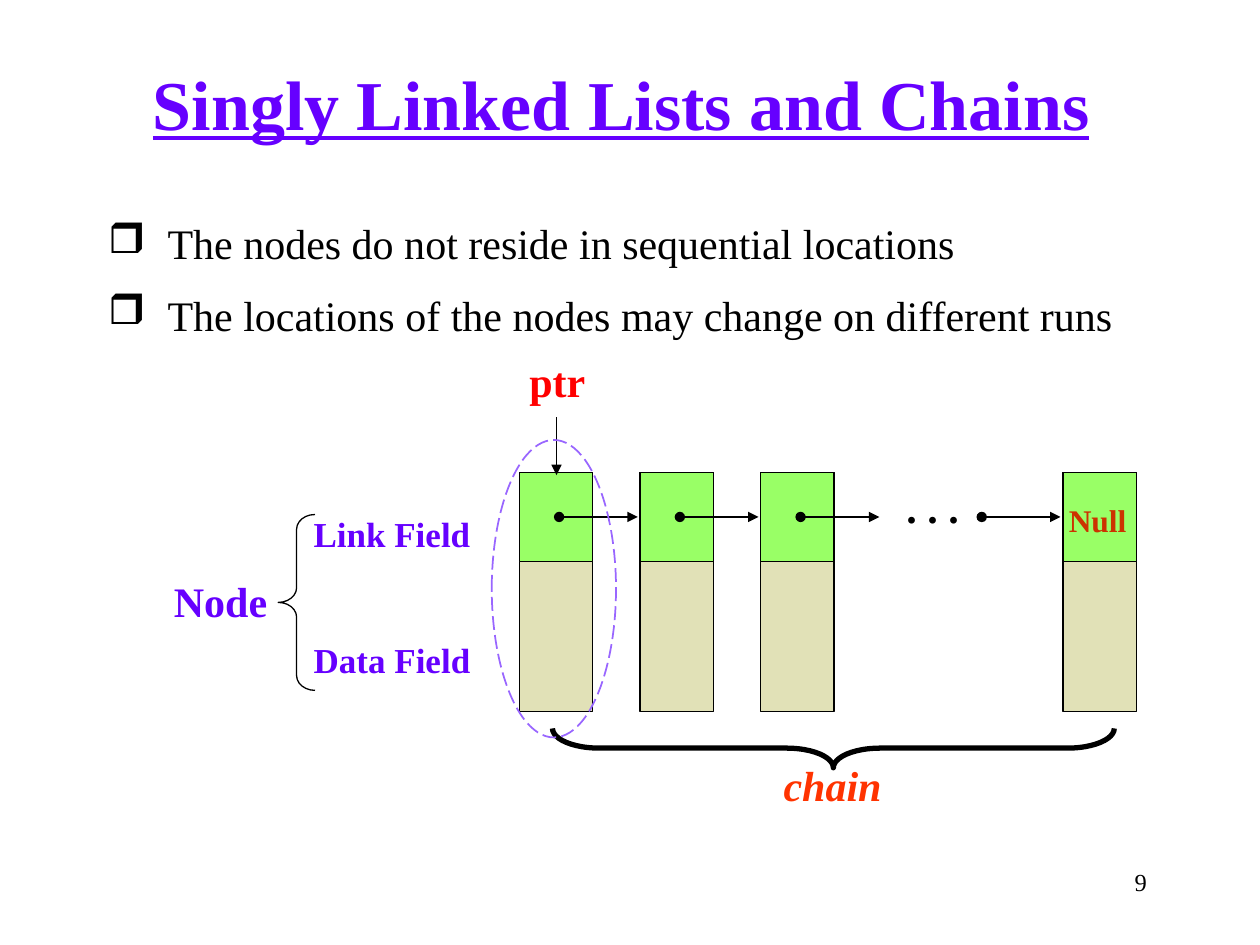
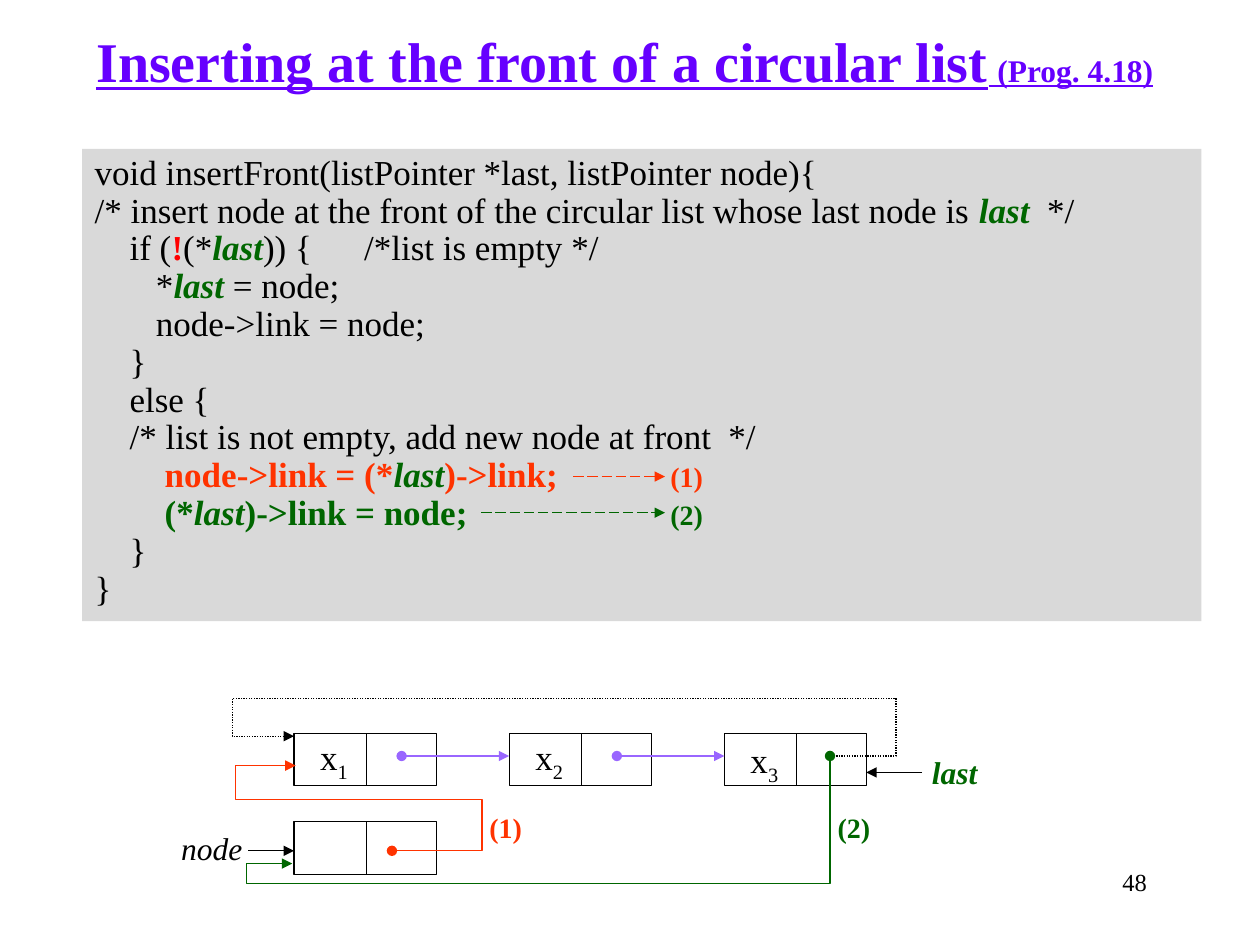
from dataclasses import dataclass
from typing import NamedTuple, Optional

from lxml.etree import SubElement
from pptx import Presentation
from pptx.dml.color import RGBColor
from pptx.enum.dml import MSO_LINE
from pptx.enum.shapes import MSO_CONNECTOR, MSO_SHAPE
from pptx.enum.text import MSO_ANCHOR, PP_ALIGN
from pptx.oxml.ns import qn
from pptx.util import Pt


@dataclass(frozen=True)
class Theme:
    font: str = "Times New Roman"
    black: str = "000000"
    title: str = "6600FF"
    violet: str = "9966FF"
    red: str = "FF0000"
    orange: str = "FF3300"
    rust: str = "CC3300"
    green: str = "006600"
    lime: str = "99FF66"
    sand: str = "E1E1B7"
    grey: str = "D9D9D9"
    head: int = 40
    subhead: int = 32
    body: int = 24
    label: int = 20
    note: int = 18
    step: int = 16
    page: int = 14


THEME = Theme()


class Box(NamedTuple):
    left: float
    top: float
    width: float
    height: float

    def points(self) -> list:
        return [Pt(side) for side in self]


class Run(NamedTuple):
    """A piece of text; unset fields follow the rest of the text."""
    text: str
    color: Optional[str] = None
    bold: Optional[bool] = None
    italic: Optional[bool] = None
    size: Optional[float] = None
    sub: bool = False


class Label(NamedTuple):
    text: object
    box: Box
    size: int
    color: str = THEME.black
    bold: bool = True
    italic: bool = False


class Wire(NamedTuple):
    """An arrow through two or more points."""
    dots: list
    color: str = THEME.black
    head: Optional[str] = None
    tail: Optional[str] = "triangle"
    dash: Optional[MSO_LINE] = None


def write(frame, paras: list, *, size: float, color: str = THEME.black,
          bold: bool = False, italic: bool = False, under: bool = False,
          align=PP_ALIGN.LEFT, wrap: bool = True, bullet: str = "",
          gap: float = 0, pitch: Optional[float] = None, tabs: tuple = ()) -> None:
    """Fill a frame; each paragraph is a string or a list of strings and runs."""
    frame.word_wrap = wrap
    frame.vertical_anchor = MSO_ANCHOR.TOP
    for index, para in enumerate(paras):
        line = frame.add_paragraph() if index else frame.paragraphs[0]
        props = line._p.get_or_add_pPr()
        if bullet:
            props.set("marL", str(Pt(34)))
            props.set("indent", str(-Pt(34)))
            SubElement(props, qn("a:buChar"), char=bullet)
        if tabs:
            stops = SubElement(props, qn("a:tabLst"))
            for stop in tabs:
                SubElement(stops, qn("a:tab"), pos=str(Pt(stop)), algn="l")
        line.alignment = align
        if pitch:
            line.line_spacing = pitch
        if index and gap:
            line.space_before = Pt(gap)
        for part in [para] if isinstance(para, str) else para:
            run = Run(part) if isinstance(part, str) else part
            piece = line.add_run()
            piece.text = run.text
            font = piece.font
            font.name = THEME.font
            font.size = Pt(run.size or size)
            font.bold = bold if run.bold is None else run.bold
            font.italic = italic if run.italic is None else run.italic
            font.underline = under
            font.color.rgb = RGBColor.from_string(run.color or color)
            if run.sub:
                piece._r.get_or_add_rPr().set("baseline", "-25000")


def add_text(slide, box: Box, paras: list, **form) -> None:
    write(slide.shapes.add_textbox(*box.points()).text_frame, paras, **form)


def add_label(slide, item: Label) -> None:
    add_text(slide, item.box, [item.text], size=item.size, color=item.color,
             bold=item.bold, italic=item.italic, align=PP_ALIGN.CENTER, wrap=False)


def add_title(slide, box: Box, text: list, size: float) -> None:
    add_text(slide, box, [text], size=size, color=THEME.title, bold=True,
             under=True, align=PP_ALIGN.CENTER, wrap=False)


def add_page(slide, number: str) -> None:
    add_text(slide, Box(512.5, 492, 150, 36), [number], size=THEME.page,
             align=PP_ALIGN.RIGHT)


def stroke(line, color: str, width: float = 0.75, dash=None) -> None:
    line.color.rgb = RGBColor.from_string(color)
    line.width = Pt(width)
    if dash:
        line.dash_style = dash


def add_form(slide, kind, box: Box, *, fill: Optional[str] = None,
             edge: Optional[str] = THEME.black, width: float = 0.75,
             dash=None, bends: tuple = ()):
    """Draw a preset shape; bends are its adjustment values."""
    shape = slide.shapes.add_shape(kind, *box.points())
    shape.shadow.inherit = False
    if fill:
        shape.fill.solid()
        shape.fill.fore_color.rgb = RGBColor.from_string(fill)
    else:
        shape.fill.background()
    if edge:
        stroke(shape.line, edge, width, dash)
    else:
        shape.line.fill.background()
    for index, bend in enumerate(bends):
        shape.adjustments[index] = bend
    return shape


def add_wire(slide, wire: Wire) -> None:
    dots = [(Pt(x), Pt(y)) for x, y in wire.dots]
    if len(dots) == 2:
        shape = slide.shapes.add_connector(MSO_CONNECTOR.STRAIGHT, *dots[0], *dots[1])
    else:
        path = slide.shapes.build_freeform(*dots[0])
        path.add_line_segments(dots[1:], close=False)
        shape = path.convert_to_shape()
        shape.fill.background()
    stroke(shape.line, wire.color, dash=wire.dash)
    for tag, end in (("a:headEnd", wire.head), ("a:tailEnd", wire.tail)):
        if end:
            SubElement(shape.line._get_or_add_ln(), qn(tag), type=end)
    SubElement(shape._element.spPr, qn("a:effectLst"))


def draw_chain(slide) -> None:
    add_page(slide, "9")
    add_text(slide, Box(54.7, 121, 612, 78),
             ["The nodes do not reside in sequential locations",
              "The locations of the nodes may change on different runs"],
             size=THEME.body, bullet="❒", gap=12)
    add_form(slide, MSO_SHAPE.LEFT_BRACE, Box(159, 294, 21, 100.5), bends=(0.4, 0.5))

    top, pitch, first, final = 270, 69, 296.7, 607.5
    starts = [first + pitch * i for i in range(3)]
    for left in starts + [final]:
        add_form(slide, MSO_SHAPE.RECTANGLE, Box(left, top, 42, 136.8), fill=THEME.sand)
        add_form(slide, MSO_SHAPE.RECTANGLE, Box(left, top, 42, 51), fill=THEME.lime)
    for left in [start + 22.8 for start in starts] + [561]:
        add_wire(slide, Wire([(left, 295.4), (left + 45, 295.4)], head="oval"))
    add_wire(slide, Wire([(318, 238.5), (318, 271.5)]))

    for item in (
        Label("Data Field", Box(172, 361.5, 104, 31), THEME.label, THEME.title),
        Label("Link Field", Box(172, 289.5, 104, 31), THEME.label, THEME.title),
        Label("Node", Box(92, 325.5, 68, 36), THEME.body, THEME.title),
        Label(". . .", Box(510.5, 271.5, 45, 36), THEME.body),
        Label("Null", Box(603.5, 282.5, 47.5, 29), THEME.note, THEME.rust),
        Label("ptr", Box(295, 199.5, 47, 36), THEME.body, THEME.red),
        Label("chain", Box(440.5, 430.5, 70.5, 36), THEME.body, THEME.orange, italic=True),
    ):
        add_label(slide, item)
    brace = add_form(slide, MSO_SHAPE.LEFT_BRACE, Box(465, 267, 22.5, 321),
                     width=3, bends=(1.19, 0.5))
    brace.rotation = 270
    add_form(slide, MSO_SHAPE.OVAL, Box(281, 251.4, 71, 170), edge=THEME.violet,
             width=1, dash=MSO_LINE.LONG_DASH)
    add_title(slide, Box(77, 31, 556, 55.5), ["Singly Linked Lists and Chains"], THEME.head)


LAST = Run("last", THEME.green, True, True)


def hot(text: str, color: str, size: Optional[float] = None) -> Run:
    """Bold code in a colour."""
    return Run(text, color, True, size=size)


CODE = [
    "void insertFront(listPointer *last, listPointer node){",
    ["/* insert node at the front of the circular list whose last node is ", LAST, "  */"],
    ["    if (", hot("!", THEME.red), "(*", LAST, ")) {\t/*list is empty */"],
    ["       *", LAST, " = node;"],
    "       node->link = node;",
    "    }",
    "    else {",
    "    /* list is not empty, add new node at front  */",
    ["        ", hot("node->link = (*", THEME.orange), LAST,
     hot(")->link;\t", THEME.orange), hot("(1)", THEME.orange, THEME.step)],
    ["        ", hot("(*", THEME.green), LAST,
     hot(")->link = node;\t", THEME.green), hot("(2)", THEME.green, THEME.step)],
    "    }",
    "}",
]


def draw_cell(slide, left: float, top: float) -> None:
    """Draw a list node: a box split into data and link."""
    add_form(slide, MSO_SHAPE.RECTANGLE, Box(left, top, 81.3, 30))
    add_wire(slide, Wire([(left + 41.3, top), (left + 41.3, top + 30)], tail=None))


def draw_insert(slide) -> None:
    add_page(slide, "48")
    panel = add_form(slide, MSO_SHAPE.RECTANGLE, Box(47, 85, 639.5, 270),
                     fill=THEME.grey, edge=None)
    write(panel.text_frame, CODE, size=THEME.label, pitch=0.9, tabs=(154, 329))

    left, top, pitch = 168, 419, 123
    mid = top + 13
    for i in range(3):
        draw_cell(slide, left + pitch * i, top)
        name = ["x", Run(str(i + 1), sub=True)]
        drop = 1.5 if i == 2 else 0
        add_label(slide, Label(name, Box(left + 7 + pitch * i, 417 + drop, 31.5, 31.5),
                               THEME.label, bold=False))
    draw_cell(slide, left, 469.6)

    links = [Wire([(left + pitch * i + 61.5, mid), (left + pitch * (i + 1), mid)],
                  THEME.violet, "oval") for i in range(2)]
    for wire in links + [
        Wire([(327.6, 272.3), (380, 272.3)], THEME.orange, dash=MSO_LINE.LONG_DASH),
        Wire([(275, 293), (380, 293)], THEME.green, dash=MSO_LINE.LONG_DASH),
        Wire([(473.5, mid), (512, mid), (512, 399), (132.8, 399), (132.8, 420.7),
              (left, 420.7)], dash=MSO_LINE.ROUND_DOT),
        Wire([(527, 441.4), (495, 441.4)]),
        Wire([(141.8, 486.2), (left, 486.2)]),
        Wire([(224, 486.2), (275.5, 486.2), (275.5, 457), (134.8, 457),
              (134.8, 437.5), (169, 437.5)], THEME.orange, "oval"),
        Wire([(474.3, mid), (474.3, 504.8), (140.8, 504.8), (140.8, 493.5),
              (167, 493.5)], THEME.green, "oval"),
    ]:
        add_wire(slide, wire)
    for item in (
        Label("last", Box(525, 427, 41, 29), THEME.note, THEME.green, italic=True),
        Label("node", Box(96.3, 470, 49.5, 29), THEME.note, bold=False, italic=True),
        Label("(1)", Box(272, 459.5, 34, 26.5), THEME.step, THEME.orange),
        Label("(2)", Box(471, 459.5, 34, 26.5), THEME.step, THEME.green),
    ):
        add_label(slide, item)
    add_title(slide, Box(40.3, 11.5, 633.5, 46),
              ["Inserting at the front of a circular list", Run(" ", size=THEME.label),
               Run("(Prog. 4.18)", size=THEME.note)], THEME.subhead)


def main() -> None:
    deck = Presentation()
    deck.slide_width, deck.slide_height = Pt(720), Pt(540)
    for draw in (draw_chain, draw_insert):
        draw(deck.slides.add_slide(deck.slide_layouts[6]))
    deck.save("out.pptx")


if __name__ == "__main__":
    main()
